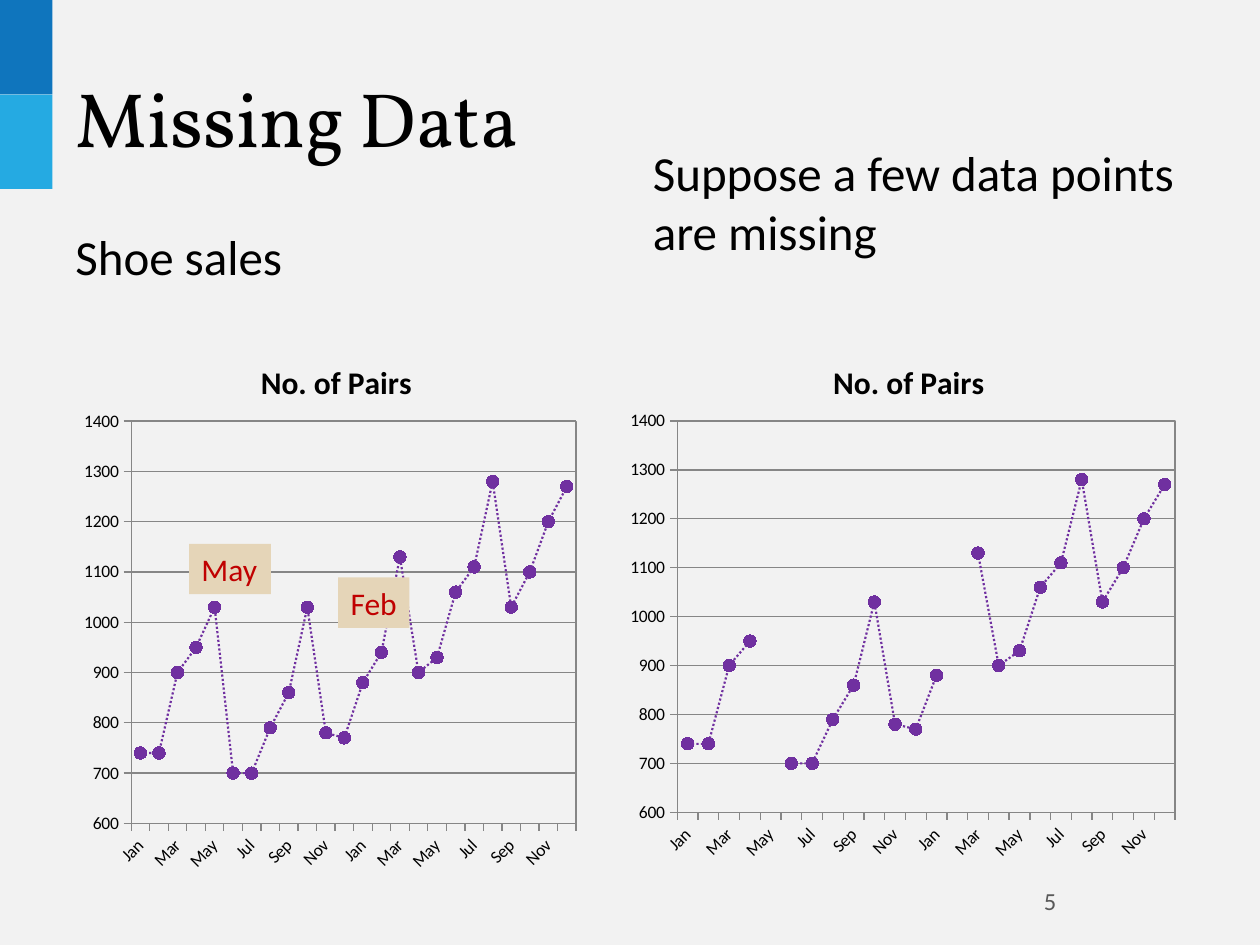
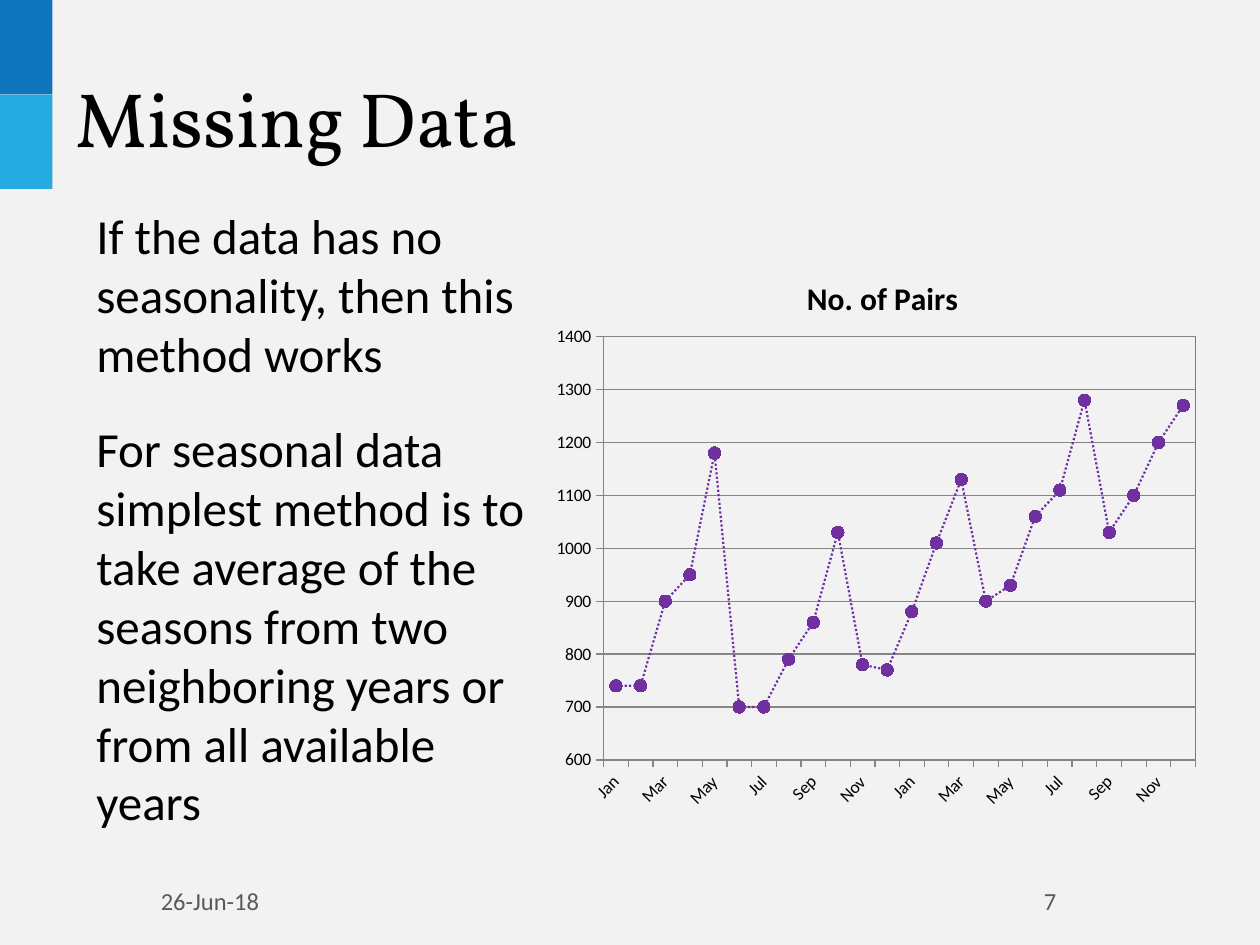
"""Build two slides on missing data in monthly shoe sales."""
from dataclasses import dataclass

from pptx import Presentation, oxml
from pptx import util as u
from pptx.chart import data as chart_data
from pptx.dml import color
from pptx.enum import chart as charts, dml, shapes, text
from pptx.oxml import ns


@dataclass(frozen=True)
class Theme:
    paper: str = "F2F2F2"
    bands: tuple = ("0F75BD", "25AAE2")
    ink: str = "000000"
    muted: str = "595959"
    grid: str = "868686"
    series: str = "7030A0"
    label: str = "C00000"
    label_fill: str = "E5D5B8"
    plot_accent: str = "C8603C"
    heading_font: str = "Vollkorn"
    body_font: str = "Calibri"
    title_size: int = 44
    body_size: int = 28
    label_size: int = 18
    footer_size: int = 14
    axis_size: int = 10


theme = Theme()
rgb = color.RGBColor.from_string
COLUMNS, ROWS = 120, 90

deck = Presentation()
deck.slide_width, deck.slide_height = u.Inches(10), u.Inches(7.5)
column, row = deck.slide_width / COLUMNS, deck.slide_height / ROWS


def place(cells):
    """Turn left, top, width, height in grid cells into lengths."""
    return [round(cell * unit) for cell, unit in zip(cells, (column, row) * 2)]


def write(page, words, cells, size=theme.body_size, font=theme.body_font, ink=theme.ink,
          anchor=text.MSO_ANCHOR.TOP, align=text.PP_ALIGN.LEFT, fill=None, wrap=True, gap=21):
    """Add a text box; each line of words becomes a paragraph."""
    box = page.shapes.add_textbox(*place(cells))
    if fill:
        box.fill.solid()
        box.fill.fore_color.rgb = rgb(fill)
    frame = box.text_frame
    frame.word_wrap = wrap
    frame.auto_size = text.MSO_AUTO_SIZE.NONE if wrap else text.MSO_AUTO_SIZE.SHAPE_TO_FIT_TEXT
    frame.vertical_anchor = anchor
    for index, line in enumerate(words.split("\n")):
        para = frame.add_paragraph() if index else frame.paragraphs[0]
        para.alignment = align
        para.space_before = u.Pt(gap if index else 0)
        span = para.add_run()
        span.text = line
        span.font.name, span.font.size = font, u.Pt(size)
        span.font.color.rgb = rgb(ink)


MONTHS = "Jan Feb Mar Apr May Jun Jul Aug Sep Oct Nov Dec".split()
SALES = [740, 740, 900, 950, 1030, 700, 700, 790, 860, 1030, 780, 770,
         880, 940, 1130, 900, 930, 1060, 1110, 1280, 1030, 1100, 1200, 1270]
MAY, FEB = 4, 13
SERIES_NAME = "No. of Pairs"

PLOT_LEFT, PLOT_TOP, PLOT_RIGHT, PLOT_BOTTOM = 5.5, 9.1, 1.1, 5.6
TITLE_WIDTH, TITLE_TOP = 14.4, 2.8

pages = [
    dict(
        texts=[("Shoe sales", (6, 21, 53, 7)),
               ("Suppose a few data points are missing", (61, 13, 53, 15))],
        footers=[("5", 86)],
        charts=[((7, 31, 49, 53), {}, theme.grid),
                ((59, 31, 54, 52), {MAY: None, FEB: None}, theme.grid)],
        labels=[("May", (18, 51.8, 7.8, 4.8)), ("Feb", (32.2, 55, 6.8, 4.8))],
    ),
    dict(
        texts=[("If the data has no seasonality, then this method works\n"
                "For seasonal data simplest method is to take average of the seasons "
                "from two neighboring years or from all available years", (8, 19, 45, 61))],
        footers=[("26-Jun-18", 6), ("7", 86)],
        charts=[((52, 23, 63, 55), {MAY: 1180, FEB: 1010}, theme.plot_accent)],
        labels=[],
    ),
]

for content in pages:
    page = deck.slides.add_slide(deck.slide_layouts[6])
    page.background.fill.solid()
    page.background.fill.fore_color.rgb = rgb(theme.paper)

    for index, shade in enumerate(theme.bands):
        band = page.shapes.add_shape(shapes.MSO_SHAPE.RECTANGLE, *place((0, 9 * index, 5, 9)))
        band.shadow.inherit = False
        band.fill.solid()
        band.fill.fore_color.rgb = rgb(shade)
        band.line.fill.background()

    write(page, "Missing Data", (6, 3.6, 108, 15), size=theme.title_size,
          font=theme.heading_font, anchor=text.MSO_ANCHOR.MIDDLE)
    for words, cells in content["texts"]:
        write(page, words, cells)
    for words, left in content["footers"]:
        write(page, words, (left, 83.4, 28, 4.8), size=theme.footer_size, ink=theme.muted,
              anchor=text.MSO_ANCHOR.MIDDLE, align=text.PP_ALIGN.CENTER)

    for cells, changes, border in content["charts"]:
        sales = chart_data.CategoryChartData()
        sales.categories = MONTHS * 2
        sales.add_series(SERIES_NAME, [changes.get(month, pairs) for month, pairs in enumerate(SALES)])
        chart = page.shapes.add_chart(charts.XL_CHART_TYPE.LINE_MARKERS, *place(cells), sales).chart
        chart.has_legend = False
        chart.font.name, chart.font.size = theme.body_font, u.Pt(theme.axis_size)
        chart.font.color.rgb = rgb(theme.ink)

        chart.has_title = True
        para = chart.chart_title.text_frame.paragraphs[0]
        span = para.add_run()
        span.text = SERIES_NAME
        span.font.name, span.font.size = theme.body_font, u.Pt(theme.label_size)
        span.font.bold = True
        span.font.color.rgb = rgb(theme.ink)
        chart.chart_title.include_in_layout = False

        plot = chart.plots[0]
        plot.vary_by_categories = False
        series = plot.series[0]
        series.smooth = False
        series.format.line.width = u.Pt(1.25)
        series.format.line.color.rgb = rgb(theme.series)
        series.format.line.dash_style = dml.MSO_LINE.ROUND_DOT
        marker = series.marker
        marker.style, marker.size = charts.XL_MARKER_STYLE.CIRCLE, 7
        marker.format.fill.solid()
        marker.format.fill.fore_color.rgb = rgb(theme.series)
        marker.format.line.color.rgb = rgb(theme.series)

        pairs_axis, month_axis = chart.value_axis, chart.category_axis
        pairs_axis.minimum_scale, pairs_axis.maximum_scale = 600, 1400
        pairs_axis.major_unit = 100
        pairs_axis.has_major_gridlines = True
        pairs_axis.major_gridlines.format.line.color.rgb = rgb(theme.grid)
        for axis in (pairs_axis, month_axis):
            axis.major_tick_mark = charts.XL_TICK_MARK.OUTSIDE
            axis.format.line.color.rgb = rgb(theme.grid)
            axis.tick_labels.font.size = u.Pt(theme.axis_size)
        month_axis._element.find(ns.qn("c:txPr")).find(ns.qn("a:bodyPr")).set("rot", "-2700000")

        width, height = cells[2:]
        plot_area = chart._chartSpace.chart.plotArea
        plot_share = dict(x=PLOT_LEFT / width, y=PLOT_TOP / height,
                          w=1 - (PLOT_LEFT + PLOT_RIGHT) / width,
                          h=1 - (PLOT_TOP + PLOT_BOTTOM) / height)
        title_share = dict(x=(1 - TITLE_WIDTH / width) / 2, y=TITLE_TOP / height)
        for parent, position, target, share in (
                (plot_area, 0, '<c:layoutTarget val="inner"/>', plot_share),
                (chart.chart_title._element, 1, "", title_share)):
            for layout in parent.findall(ns.qn("c:layout")):
                parent.remove(layout)
            modes = "".join(f'<c:{side}Mode val="edge"/>' for side in "xy")
            sizes = "".join(f'<c:{side} val="{part:.3f}"/>' for side, part in share.items())
            parent.insert(position, oxml.parse_xml(
                f'<c:layout {ns.nsdecls("c")}><c:manualLayout>{target}{modes}{sizes}'
                '</c:manualLayout></c:layout>'))
        plot_area.append(oxml.parse_xml(
            f'<c:spPr {ns.nsdecls("c", "a")}><a:noFill/><a:ln w="9525"><a:solidFill>'
            f'<a:srgbClr val="{border}"/></a:solidFill></a:ln></c:spPr>'))

    for words, cells in content["labels"]:
        write(page, words, cells, size=theme.label_size, ink=theme.label,
              fill=theme.label_fill, wrap=False)

deck.save("out.pptx")
